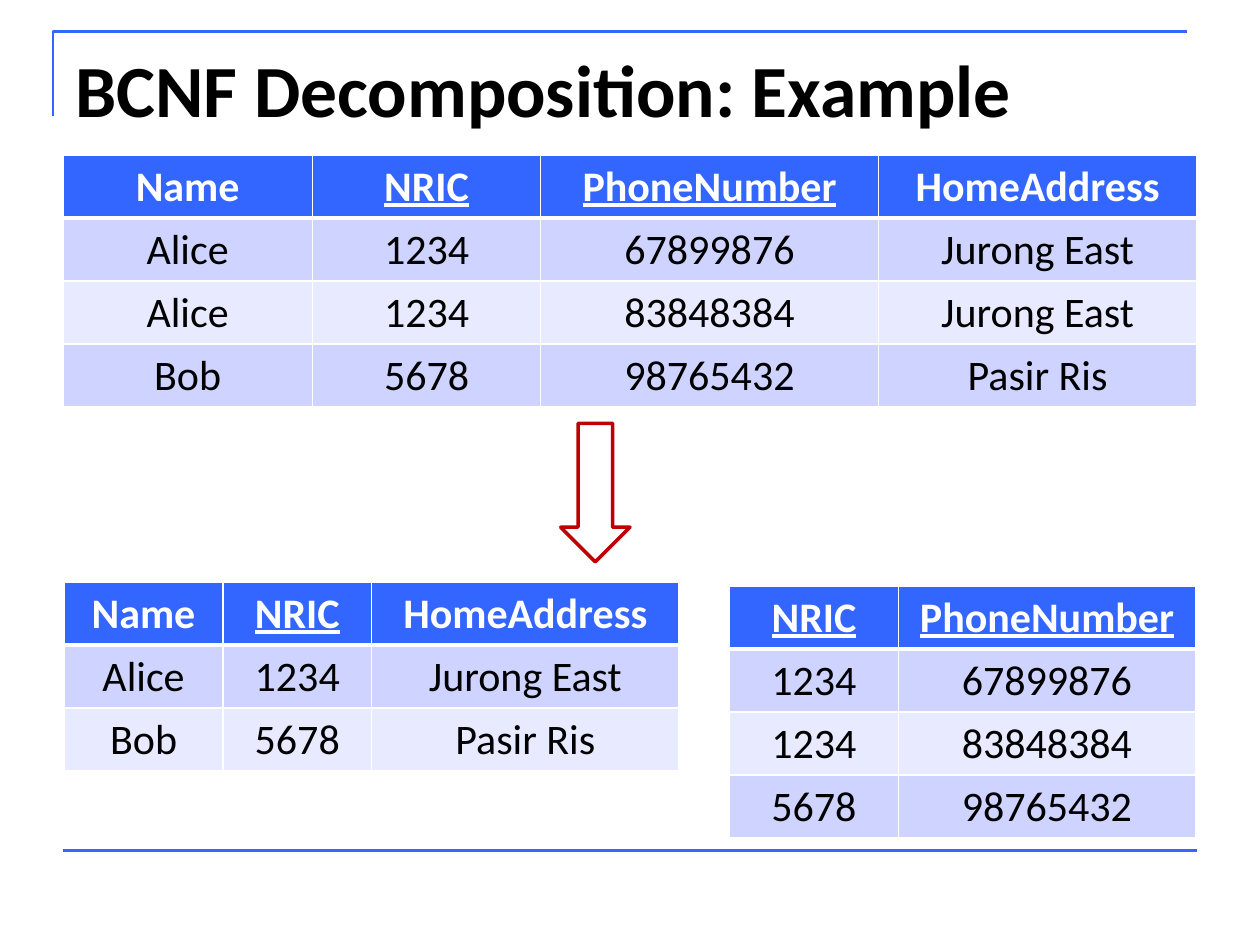
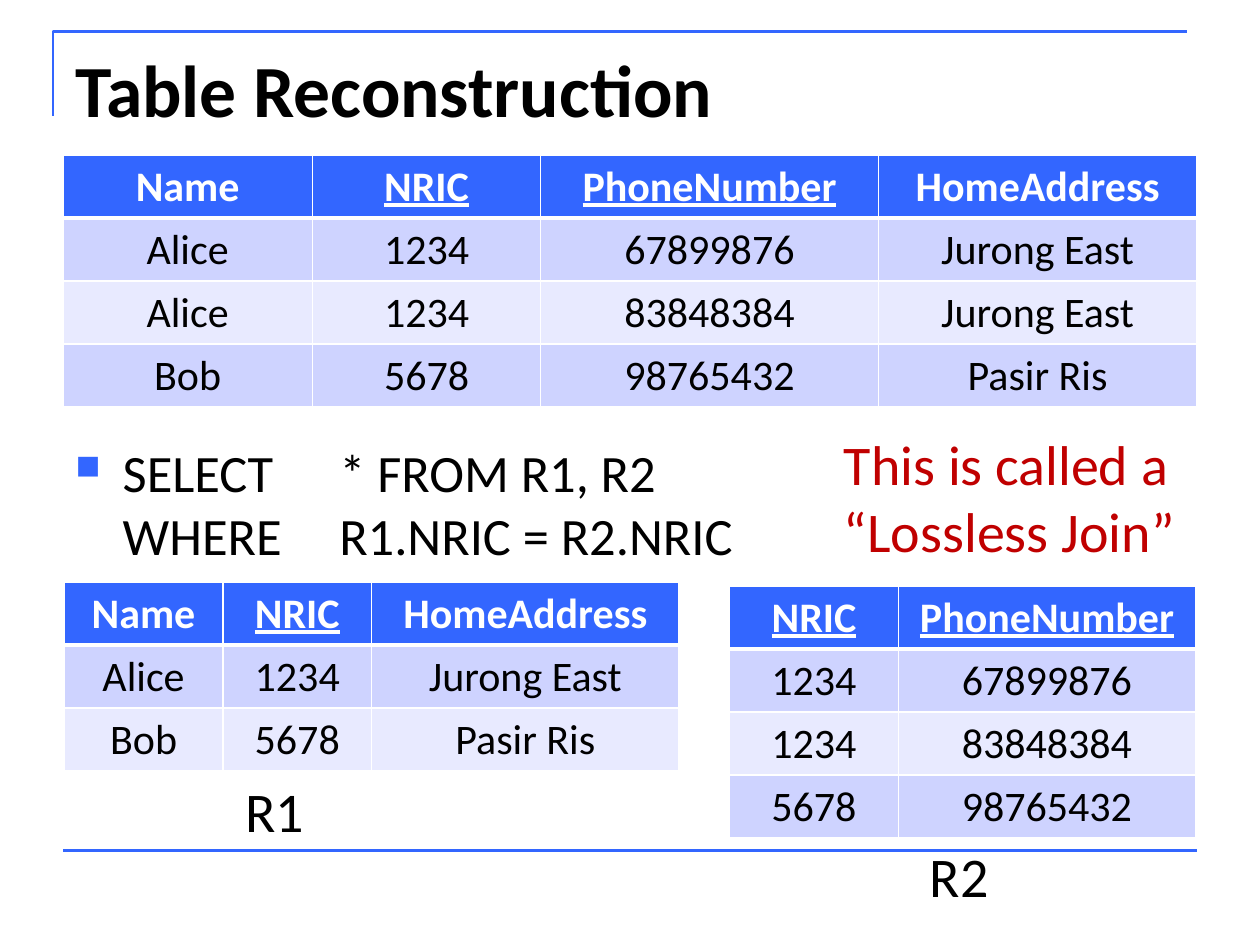
from lxml import etree
from pptx import Presentation
from pptx.dml.color import RGBColor
from pptx.enum.shapes import MSO_CONNECTOR, MSO_SHAPE
from pptx.enum.text import MSO_ANCHOR, PP_ALIGN
from pptx.oxml.ns import qn
from pptx.util import Pt

CENTER = PP_ALIGN.CENTER
TOP = MSO_ANCHOR.TOP
STRAIGHT = MSO_CONNECTOR.STRAIGHT
DOWN_ARROW = MSO_SHAPE.DOWN_ARROW

FONT = "Calibri"
COLORS = {
    "blue": "3366FF",
    "red": "C00000",
    "black": "000000",
    "white": "FFFFFF",
    "odd_row": "CED3FF",
    "even_row": "E8EAFF",
}
ROW_HEIGHT = 36

PEOPLE_PHONES = {
    "place": (36, 88.5),
    "widths": (142.5, 130.5, 193, 182),
    "keys": {"NRIC", "PhoneNumber"},
    "rows": [
        ("Name", "NRIC", "PhoneNumber", "HomeAddress"),
        ("Alice", "1234", "67899876", "Jurong East"),
        ("Alice", "1234", "83848384", "Jurong East"),
        ("Bob", "5678", "98765432", "Pasir Ris"),
    ],
}
PEOPLE = {
    "place": (36.7, 332.6),
    "widths": (90.7, 85, 175.7),
    "keys": {"NRIC"},
    "rows": [
        ("Name", "NRIC", "HomeAddress"),
        ("Alice", "1234", "Jurong East"),
        ("Bob", "5678", "Pasir Ris"),
    ],
}
PHONES = {
    "place": (416.9, 334.8),
    "widths": (96.5, 169.9),
    "keys": {"NRIC", "PhoneNumber"},
    "rows": [
        ("NRIC", "PhoneNumber"),
        ("1234", "67899876"),
        ("1234", "83848384"),
        ("5678", "98765432"),
    ],
}


def rgb(name):
    return RGBColor.from_string(COLORS[name])


def add_element(parent, tag, **attributes):
    return etree.SubElement(parent, qn(tag), attributes)


class SlideBuilder:
    def __init__(self, presentation):
        self.presentation = presentation
        self.slide = None

    def new_slide(self, title):
        """Add a slide with the frame lines, the title and the three tables."""
        layout = self.presentation.slide_layouts[6]
        self.slide = self.presentation.slides.add_slide(layout)
        self.frame()
        self.text([title], 36, 21.6, 648, 90, 42, bold=True)
        for relation in (PEOPLE_PHONES, PEOPLE, PHONES):
            self.table(**relation)

    def frame(self):
        left, top, right, bottom = Pt(30.25), Pt(18), Pt(678.25), Pt(66.25)
        builder = self.slide.shapes.build_freeform(left, bottom)
        builder.add_line_segments([(left, top), (right, top)], close=False)
        self.outline(builder.convert_to_shape(), "blue", 1.5)

        rule = self.slide.shapes.add_connector(
            STRAIGHT, Pt(36), Pt(486), Pt(684), Pt(486))
        rule.line.color.rgb = rgb("blue")
        rule.line.width = Pt(1.5)
        add_element(rule._element.spPr, "a:effectLst")

    def outline(self, shape, color, width):
        shape.shadow.inherit = False
        shape.fill.background()
        shape.line.color.rgb = rgb(color)
        shape.line.width = Pt(width)

    def down_arrow(self, left, top, width, height):
        shape = self.slide.shapes.add_shape(
            DOWN_ARROW, Pt(left), Pt(top), Pt(width), Pt(height))
        self.outline(shape, "red", 2)

    def run(self, paragraph, text, size, color, bold=False, underline=False):
        run = paragraph.add_run()
        run.text = text
        font = run.font
        font.name = FONT
        font.size = Pt(size)
        font.color.rgb = rgb(color)
        font.bold = bold
        font.underline = underline

    def text(self, lines, left, top, width, height, size,
             color="black", bold=False, bullet=False):
        box = self.slide.shapes.add_textbox(
            Pt(left), Pt(top), Pt(width), Pt(height))
        frame = box.text_frame
        frame.word_wrap = True
        frame.vertical_anchor = TOP
        paragraph = frame.paragraphs[0]
        if bullet:
            self.bullet(paragraph)
        for index, line in enumerate(lines):
            if index:
                paragraph.add_line_break()
            self.run(paragraph, line, size, color, bold)

    def bullet(self, paragraph):
        properties = paragraph._p.get_or_add_pPr()
        properties.set("marL", str(Pt(27)))
        properties.set("indent", str(-Pt(27)))
        color = add_element(properties, "a:buClr")
        add_element(color, "a:srgbClr", val=COLORS["blue"])
        add_element(properties, "a:buSzPct", val="65000")
        add_element(properties, "a:buChar", char="■")

    def table(self, place, widths, keys, rows):
        """Draw a relation whose key columns have underlined headings."""
        left, top = place
        table = self.slide.shapes.add_table(
            len(rows), len(widths), Pt(left), Pt(top),
            Pt(sum(widths)), Pt(ROW_HEIGHT * len(rows))).table
        table.horz_banding = False
        for column, width in zip(table.columns, widths):
            column.width = Pt(width)
        for row_index, row in enumerate(rows):
            table.rows[row_index].height = Pt(ROW_HEIGHT)
            header = row_index == 0
            fill = "blue" if header else ("even_row", "odd_row")[row_index % 2]
            for column_index, value in enumerate(row):
                cell = table.cell(row_index, column_index)
                self.borders(cell, top=3 if row_index == 1 else 1,
                             bottom=3 if header else 1)
                cell.fill.solid()
                cell.fill.fore_color.rgb = rgb(fill)
                paragraph = cell.text_frame.paragraphs[0]
                paragraph.alignment = CENTER
                self.run(paragraph, value, 24, "white" if header else "black",
                         bold=header, underline=header and value in keys)

    def borders(self, cell, top, bottom):
        properties = cell._tc.get_or_add_tcPr()
        for side, width in zip("LRTB", (1, 1, top, bottom)):
            line = add_element(properties, f"a:ln{side}", w=str(Pt(width)))
            fill = add_element(line, "a:solidFill")
            add_element(fill, "a:srgbClr", val=COLORS["white"])


def main():
    presentation = Presentation()
    presentation.slide_width = Pt(720)
    presentation.slide_height = Pt(540)
    builder = SlideBuilder(presentation)

    builder.new_slide("BCNF Decomposition: Example")
    builder.down_arrow(320.4, 241.9, 39.6, 79.2)

    builder.new_slide("Table Reconstruction")
    builder.text(["SELECT\t * FROM R1, R2", "WHERE\t R1.NRIC = R2.NRIC"],
                 36, 247.7, 663.8, 85, 30, bullet=True)
    builder.text(["R1"], 133.2, 440, 49.7, 46, 32)
    builder.text(["R2"], 524.2, 477.4, 48.3, 46, 32)
    builder.text(["This is called a", "“Lossless Join”"],
                 475.2, 241.9, 208.8, 85, 32, color="red")

    presentation.save("out.pptx")


if __name__ == "__main__":
    main()
